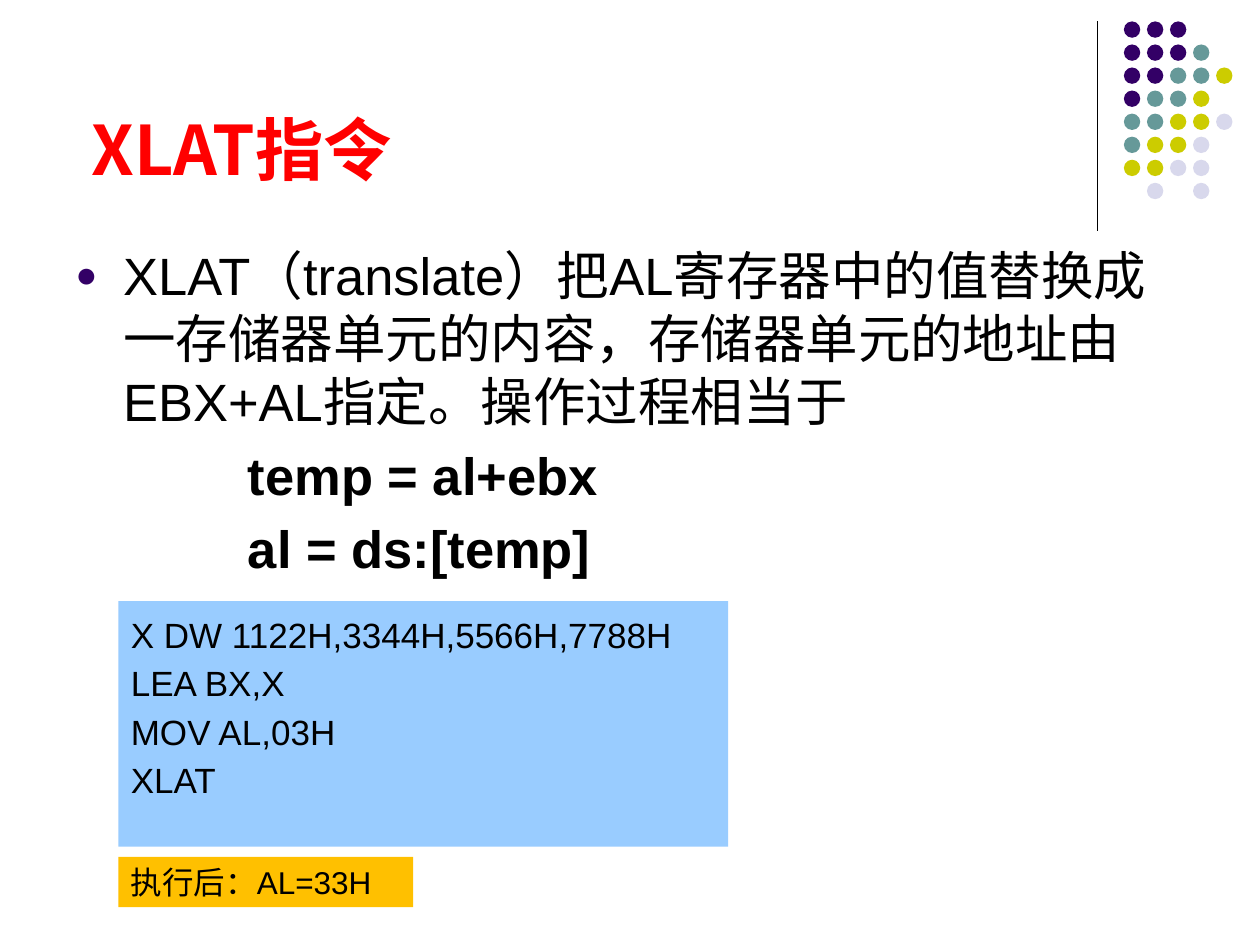
from lxml import etree
from pptx import Presentation, util as u
from pptx.dml.color import RGBColor
from pptx.enum import shapes, text
from pptx.oxml.ns import qn

WIDTH, HEIGHT = 10, 7.5
LATIN, CJK = "Arial", "Noto Sans CJK SC"
BLACK, RED, PURPLE = "000000", "FF0000", "330066"

TITLE = "XLAT指令"
INTRO = ("XLAT（translate）把AL寄存器中的值替换成一存储器单元的内容，"
         "存储器单元的地址由EBX+AL指定。操作过程相当于")
STEPS = ["temp = al+ebx", "al = ds:[temp]"]
CODE = ["X DW 1122H,3344H,5566H,7788H", "LEA BX,X", "MOV AL,03H", "XLAT"]
RESULT = "执行后：AL=33H"

# Dot pattern: one letter per grid cell, "." is empty
DOT_COLORS = {"P": PURPLE, "T": "669999", "Y": "CCCC00", "L": "D8D8EC"}
DOT_ROWS = ["PPP..", "PPPT.", "PPTTY", "PTTY.", "TTYYL", "TYYL.", "YYLL.", ".L.L."]
DOT_LEFT, DOT_TOP, DOT_STEP, DOT_SIZE = 8.92, 0.17, 0.183, 0.13


def color(value):
    return RGBColor.from_string(value)


def add_filled(page, kind, place, fill):
    shape = page.shapes.add_shape(kind, *map(u.Inches, place))
    shape.shadow.inherit = False
    shape.fill.solid()
    shape.fill.fore_color.rgb = color(fill)
    shape.line.fill.background()
    return shape


def write(box, lines, size, font=LATIN, ink=BLACK, anchor=text.MSO_ANCHOR.TOP):
    frame = box.text_frame
    frame.word_wrap = True
    frame.auto_size = text.MSO_AUTO_SIZE.NONE
    frame.vertical_anchor = anchor
    frame.text = "\n".join(lines)
    for para in frame.paragraphs:
        para.alignment = text.PP_ALIGN.LEFT
        for span in para.runs:
            span.font.name = font
            span.font.size = u.Pt(size)
            span.font.color.rgb = color(ink)
            east = etree.SubElement(span.font._element, qn("a:ea"))
            east.set("typeface", CJK)
    return frame.paragraphs


def indent(para, left, first=0):
    props = para._p.get_or_add_pPr()
    props.set("marL", str(u.Inches(left)))
    props.set("indent", str(u.Inches(first)))
    return props


def add_bullet(props):
    tint = etree.SubElement(props, qn("a:buClr"))
    etree.SubElement(tint, qn("a:srgbClr")).set("val", PURPLE)
    etree.SubElement(props, qn("a:buSzPct")).set("val", "70000")
    etree.SubElement(props, qn("a:buFont")).set("typeface", LATIN)
    etree.SubElement(props, qn("a:buChar")).set("char", "●")


def main():
    deck = Presentation()
    deck.slide_width, deck.slide_height = u.Inches(WIDTH), u.Inches(HEIGHT)
    page = deck.slides.add_slide(deck.slide_layouts[5])

    # Corner decoration: rule and dot grid
    rule = page.shapes.add_connector(
        shapes.MSO_CONNECTOR.STRAIGHT, *map(u.Inches, (8.71, 0.17, 8.71, 1.83)))
    rule.line.color.rgb = color(BLACK)
    rule.line.width = u.Pt(0.75)
    etree.SubElement(rule._element.spPr, qn("a:effectLst"))
    for row, cells in enumerate(DOT_ROWS):
        for column, cell in enumerate(cells):
            if cell in DOT_COLORS:
                place = (DOT_LEFT + column * DOT_STEP, DOT_TOP + row * DOT_STEP,
                         DOT_SIZE, DOT_SIZE)
                add_filled(page, shapes.MSO_SHAPE.OVAL, place, DOT_COLORS[cell])

    # Title
    title = page.shapes.title
    title.left, title.top, title.width, title.height = map(
        u.Inches, (0.5, 0.13, 8.25, 1.42))
    heading = write(title, [TITLE], 39, CJK, RED, text.MSO_ANCHOR.BOTTOM)[0]
    heading.runs[0].font.bold = True
    title.text_frame.margin_left = u.Inches(0.23)

    # Explanation with the two equivalent steps
    body = page.shapes.add_textbox(*map(u.Inches, (0.5, 1.88, 9, 4.82)))
    intro, *steps = write(body, [INTRO, *STEPS], 30)
    add_bullet(indent(intro, 0.38, -0.38))
    for step in steps:
        indent(step, 1.37)
        step.space_before = u.Pt(6)
        step.runs[0].font.bold = True

    # Code example and its result
    code = add_filled(page, shapes.MSO_SHAPE.RECTANGLE, (0.94, 4.77, 4.84, 1.95), "99CCFF")
    for para in write(code, CODE, 20):
        para.line_spacing = 1.15
    result = add_filled(page, shapes.MSO_SHAPE.RECTANGLE, (0.94, 6.8, 2.34, 0.4), "FFC000")
    write(result, [RESULT], 18)

    deck.save("out.pptx")


if __name__ == "__main__":
    main()
